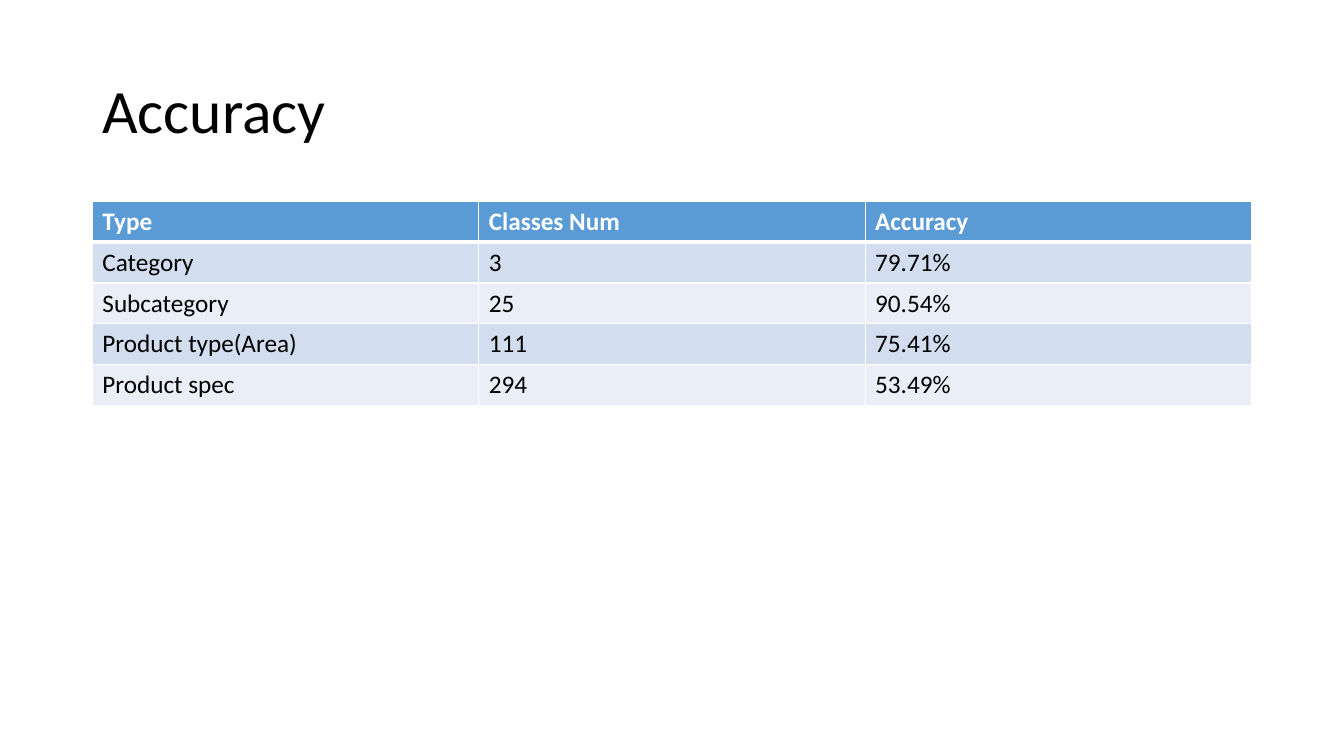
from lxml import etree
from pptx import Presentation
from pptx.dml.color import RGBColor
from pptx.enum.text import MSO_ANCHOR
from pptx.oxml.ns import qn
from pptx.util import Pt

MIDDLE = MSO_ANCHOR.MIDDLE
FONT = "Calibri"
COLORS = {
    "text": "000000",
    "header_text": "FFFFFF",
    "header": "5B9BD5",
    "odd_row": "D2DEEF",
    "even_row": "EAEFF7",
    "border": "FFFFFF",
}
ACCURACY_ROWS = [
    ("Type", "Classes Num", "Accuracy"),
    ("Category", "3", "79.71%"),
    ("Subcategory", "25", "90.54%"),
    ("Product type(Area)", "111", "75.41%"),
    ("Product spec", "294", "53.49%"),
]


def rgb(name):
    return RGBColor.from_string(COLORS[name])


def add_run(paragraph, text, size, color, bold=False):
    run = paragraph.add_run()
    run.text = text
    run.font.name = FONT
    run.font.size = Pt(size)
    run.font.bold = bold
    run.font.color.rgb = rgb(color)


def set_borders(cell, widths):
    """Draw the left, right, top and bottom borders, in that order."""
    properties = cell._tc.get_or_add_tcPr()
    for side, width in zip("LRTB", widths):
        line = etree.SubElement(properties, qn(f"a:ln{side}"), w=str(Pt(width)))
        fill = etree.SubElement(line, qn("a:solidFill"))
        etree.SubElement(fill, qn("a:srgbClr"), val=COLORS["border"])


def add_title(slide, left, top, width, height):
    title = slide.shapes.add_textbox(Pt(left), Pt(top), Pt(width), Pt(height))
    frame = title.text_frame
    frame.word_wrap = True
    frame.vertical_anchor = MIDDLE
    heading = frame.paragraphs[0]
    heading.line_spacing = 0.9
    add_run(heading, "Accuracy", 44, "text")


def add_accuracy_table(slide, left, top, width, height):
    row_count, column_count = len(ACCURACY_ROWS), len(ACCURACY_ROWS[0])
    table = slide.shapes.add_table(
        row_count, column_count, Pt(left), Pt(top), Pt(width), Pt(height)
    ).table
    for column in table.columns:
        column.width = Pt(width / column_count)
    for r, values in enumerate(ACCURACY_ROWS):
        table.rows[r].height = Pt(height / row_count)
        is_header = r == 0
        band = "header" if is_header else "odd_row" if r % 2 else "even_row"
        # A thick rule parts the header from the body
        widths = (1, 1, 3 if r == 1 else 1, 3 if is_header else 1)
        for c, value in enumerate(values):
            cell = table.cell(r, c)
            set_borders(cell, widths)
            cell.fill.solid()
            cell.fill.fore_color.rgb = rgb(band)
            color = "header_text" if is_header else "text"
            add_run(cell.text_frame.paragraphs[0], value, 18, color, is_header)


def main():
    presentation = Presentation()
    presentation.slide_width = Pt(960)
    presentation.slide_height = Pt(540)
    slide = presentation.slides.add_slide(presentation.slide_layouts[6])

    # Title above, results table below
    add_title(slide, 66, 28.75, 828, 104.4)
    add_accuracy_table(slide, 66, 143.75, 828, 146)

    presentation.save("out.pptx")


if __name__ == "__main__":
    main()
